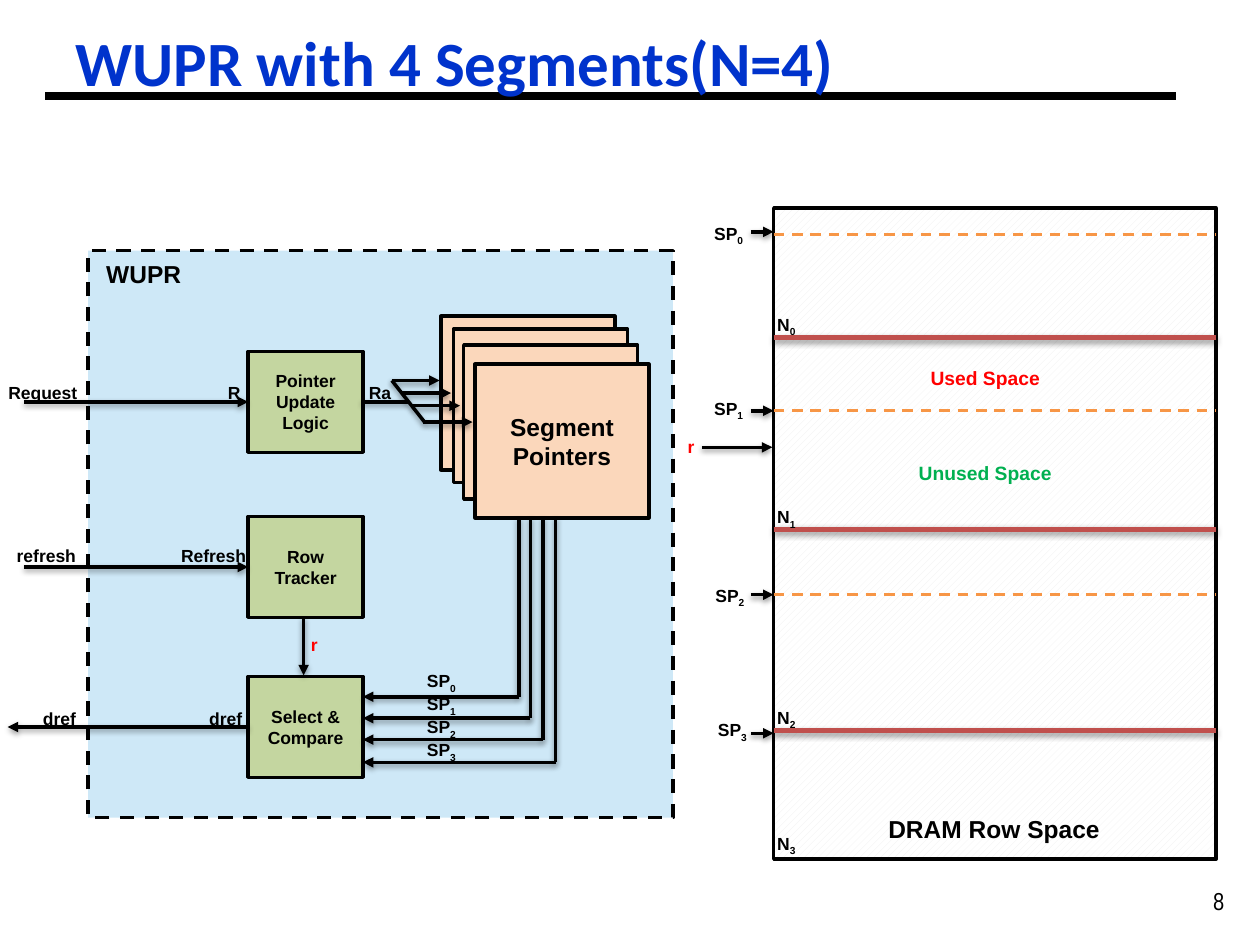
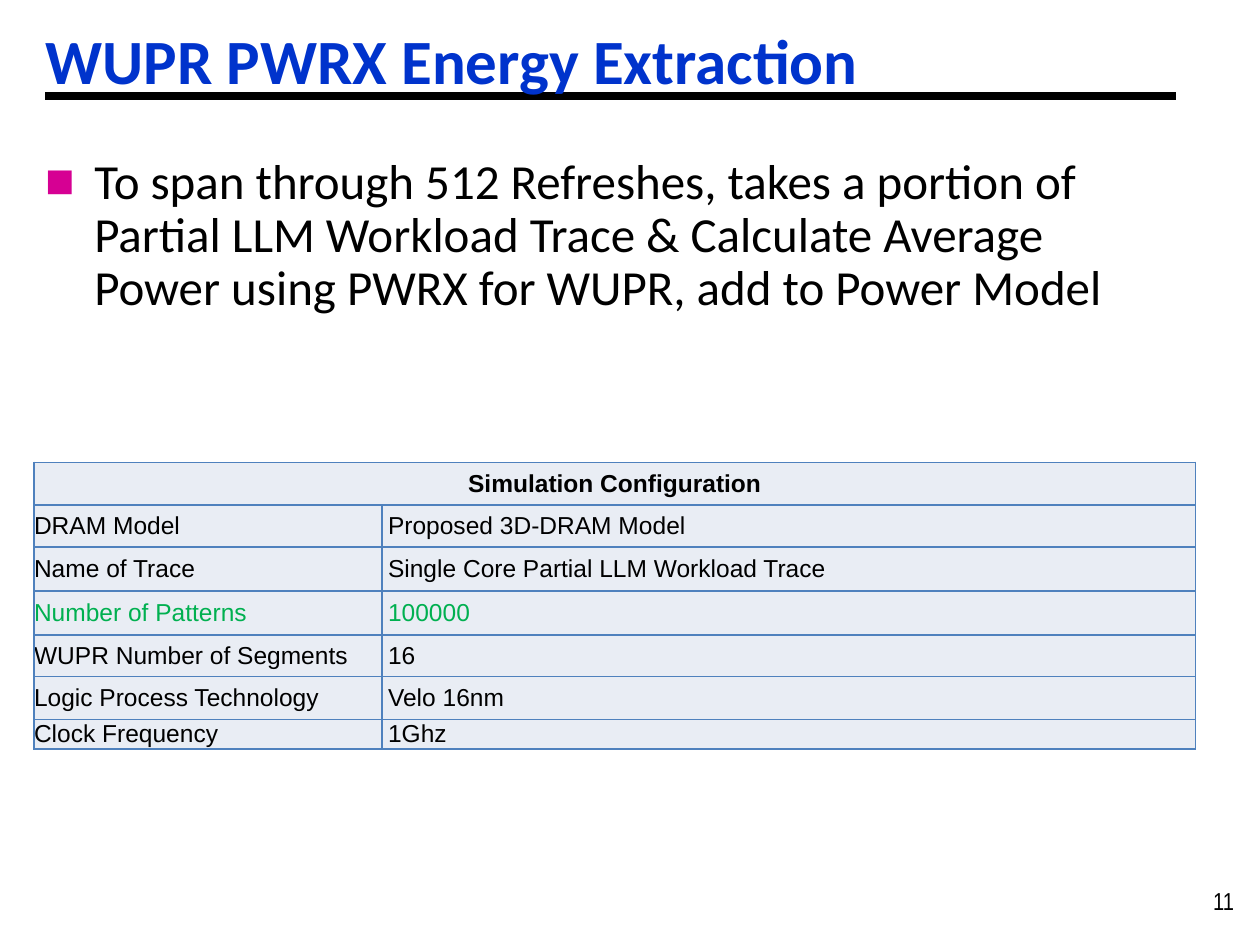
"""Build two slides: the WUPR block diagram and its energy extraction setup."""
from lxml.etree import SubElement
from pptx import Presentation
from pptx.dml.color import RGBColor
from pptx.enum.dml import MSO_LINE, MSO_PATTERN
from pptx.enum.shapes import MSO_CONNECTOR, MSO_SHAPE
from pptx.enum.text import MSO_ANCHOR, MSO_AUTO_SIZE, PP_ALIGN
from pptx.oxml import parse_xml
from pptx.oxml.ns import nsdecls, qn
from pptx.util import Inches, Pt

BLACK = RGBColor(0x00, 0x00, 0x00)
WHITE = RGBColor(0xFF, 0xFF, 0xFF)
TITLE_BLUE = RGBColor(0x00, 0x33, 0xCC)
PANEL_BLUE = RGBColor(0xCE, 0xE8, 0xF7)
PEACH = RGBColor(0xFB, 0xD7, 0xBB)
LEAF = RGBColor(0xC4, 0xD6, 0xA0)
HATCH = RGBColor(0xF0, 0xF0, 0xF0)
BRICK = RGBColor(0xC0, 0x50, 0x4D)
ORANGE = RGBColor(0xF7, 0x96, 0x46)
RED = RGBColor(0xFF, 0x00, 0x00)
GREEN = RGBColor(0x00, 0xB0, 0x50)
BULLET_PINK = RGBColor(0xD6, 0x00, 0x93)
CELL_FILL = RGBColor(0xE9, 0xED, 0xF4)
CELL_BORDER = RGBColor(0x4F, 0x81, 0xBD)
LEFT, CENTER, RIGHT = PP_ALIGN.LEFT, PP_ALIGN.CENTER, PP_ALIGN.RIGHT


def add_line(shapes, start, end, color=BLACK, width=2, arrow=False, dashed=False, shadow=True):
    """Draw a straight connector."""
    line = shapes.add_connector(MSO_CONNECTOR.STRAIGHT, *map(Inches, start + end))
    line.line.color.rgb = color
    line.line.width = Pt(width)
    if dashed:
        line.line.dash_style = MSO_LINE.DASH
    if arrow:
        SubElement(line.line._get_or_add_ln(), qn("a:tailEnd"), type="triangle")
    effects = SubElement(line._element.spPr, qn("a:effectLst"))
    if shadow:
        effects.append(parse_xml(
            f'<a:outerShdw {nsdecls("a")} blurRad="40000" dist="20000" dir="5400000" rotWithShape="0">'
            '<a:srgbClr val="000000"><a:alpha val="38000"/></a:srgbClr></a:outerShdw>'))
    return line


def add_label(shapes, box, text, subscript="", size=10, color=BLACK, align=LEFT):
    """Add a bold text box, with an optional subscript."""
    label = shapes.add_textbox(*map(Inches, box))
    label.text_frame.word_wrap = True
    paragraph = label.text_frame.paragraphs[0]
    paragraph.alignment = align
    paragraph.font.name = "Arial"
    paragraph.font.size = Pt(size)
    paragraph.font.bold = True
    paragraph.font.color.rgb = color
    paragraph.add_run().text = text
    if subscript:
        run = paragraph.add_run()
        run.text = subscript
        run._r.get_or_add_rPr().set("baseline", "-25000")
    return label


presentation = Presentation()
presentation.slide_width = Inches(10)
presentation.slide_height = Inches(7.5)

slides = []
for title_text, number, title_box in [
    ("WUPR with 4 Segments(N=4)", "8", (0.6, 0.13, 8.42, 0.71)),
    ("WUPR PWRX Energy Extraction", "11", (0.36, 0.11, 9.64, 0.71)),
]:
    slide = presentation.slides.add_slide(presentation.slide_layouts[5])
    slides.append(slide)
    title = slide.shapes.title
    title.left, title.top, title.width, title.height = map(Inches, title_box)
    title.text = title_text
    frame = title.text_frame
    frame.auto_size = MSO_AUTO_SIZE.NONE
    frame.vertical_anchor = MSO_ANCHOR.BOTTOM
    frame.margin_left = 0
    paragraph = frame.paragraphs[0]
    paragraph.alignment = LEFT
    paragraph.font.name = "Calibri"
    paragraph.font.size = Pt(36)
    paragraph.font.bold = True
    paragraph.font.color.rgb = TITLE_BLUE
    rule = add_line(slide.shapes, (0.36, 0.76), (9.33, 0.76), width=4.5, shadow=False)
    title._element.addprevious(rule._element)
    page_number = add_label(slide.shapes, (9.53, 6.98, 0.47, 0.33), number, size=14)
    paragraph = page_number.text_frame.paragraphs[0]
    paragraph.font.name = "Arial Narrow"
    paragraph.font.bold = False

diagram_slide, setup_slide = slides

wupr = diagram_slide.shapes.add_group_shape().shapes
for left, top, width, height, fill, text, size in [
    (0.7, 1.99, 4.64, 4.5, PANEL_BLUE, "", 10),
    (3.5, 2.51, 1.38, 1.22, PEACH, "", 14),
    (3.6, 2.61, 1.38, 1.22, PEACH, "", 14),
    (3.68, 2.74, 1.38, 1.22, PEACH, "", 14),
    (3.77, 2.89, 1.38, 1.22, PEACH, "Segment Pointers", 14),
    (1.97, 2.79, 0.91, 0.8, LEAF, "Pointer Update Logic", 10),
    (1.97, 4.1, 0.91, 0.8, LEAF, "Row Tracker", 10),
    (1.97, 5.37, 0.91, 0.8, LEAF, "Select & Compare", 10),
]:
    block = wupr.add_shape(MSO_SHAPE.RECTANGLE, *map(Inches, (left, top, width, height)))
    block.shadow.inherit = False
    block.fill.solid()
    block.fill.fore_color.rgb = fill
    block.line.color.rgb = BLACK
    block.line.width = Pt(2)
    if fill == PANEL_BLUE:
        block.line.dash_style = MSO_LINE.DASH
    if text:
        block.text_frame.text = text
        block.text_frame.vertical_anchor = MSO_ANCHOR.MIDDLE
        paragraph = block.text_frame.paragraphs[0]
        paragraph.alignment = CENTER
        paragraph.font.name = "Arial"
        paragraph.font.size = Pt(size)
        paragraph.font.bold = True
        paragraph.font.color.rgb = BLACK

for start, end in [
    ((0.19, 3.19), (1.97, 3.19)),
    ((0.19, 4.5), (1.97, 4.5)),
    ((1.97, 5.77), (0.06, 5.77)),
    ((2.41, 4.9), (2.41, 5.36)),
    ((3.11, 3.02), (3.49, 3.02)),
    ((3.19, 3.12), (3.58, 3.12)),
    ((3.27, 3.22), (3.65, 3.22)),
    ((3.36, 3.35), (3.75, 3.35)),
]:
    add_line(wupr, start, end, arrow=True)
add_line(wupr, (3.11, 3.02), (3.37, 3.35))
add_line(wupr, (2.87, 3.19), (3.24, 3.19))

for index, (x, y) in enumerate([(4.12, 5.53), (4.21, 5.7), (4.31, 5.87), (4.41, 6.05)]):
    add_line(wupr, (x, 4.1), (x, y))
    add_line(wupr, (x, y), (2.88, y), arrow=True)
    add_label(wupr, (3.29, 5.27 + 0.183 * index, 0.47, 0.23), "SP", str(index))

for box, text, align in [
    ((-0.1, 2.98, 0.81, 0.25), "Request", RIGHT),
    ((1.71, 2.98, 0.63, 0.23), "R", LEFT),
    ((2.83, 2.98, 0.63, 0.23), "Ra", LEFT),
    ((-0.04, 4.28, 0.74, 0.25), "refresh", RIGHT),
    ((1.09, 4.28, 0.96, 0.27), "Refresh", RIGHT),
    ((-0.32, 5.57, 1.02, 0.23), "dref", RIGHT),
    ((1.55, 5.57, 0.47, 0.23), "dref", RIGHT),
]:
    add_label(wupr, box, text, align=align)
add_label(wupr, (2.37, 4.98, 0.23, 0.23), "r", color=RED)
add_label(wupr, (0.57, 2.01, 1.14, 0.34), "WUPR", size=14, align=CENTER)

dram = diagram_slide.shapes.add_group_shape().shapes
row_space = dram.add_shape(MSO_SHAPE.RECTANGLE, *map(Inches, (6.14, 1.65, 3.51, 5.17)))
row_space.shadow.inherit = False
row_space.fill.patterned()
row_space.fill.pattern = MSO_PATTERN.WIDE_UPWARD_DIAGONAL
row_space.fill.fore_color.rgb = HATCH
row_space.fill.back_color.rgb = WHITE
row_space.line.color.rgb = BLACK
row_space.line.width = Pt(2)

for y in (2.68, 4.2, 5.8):
    add_line(dram, (6.14, y), (9.65, y), color=BRICK, width=3)
for index, top in enumerate([2.44, 3.97, 5.56, 6.56]):
    add_label(dram, (6.07, top, 0.37, 0.27), "N", str(index))
for index, (left, top, y) in enumerate(
        [(5.57, 1.72, 1.84), (5.57, 3.11, 3.26), (5.58, 4.59, 4.72), (5.6, 5.66, 5.82)]):
    add_line(dram, (5.96, y), (6.14, y), arrow=True)
    add_label(dram, (left, top, 0.5, 0.27), "SP", str(index))
for y in (1.86, 3.26, 4.72):
    add_line(dram, (6.14, y), (9.65, y), color=ORANGE, width=1.5, dashed=True, shadow=False)
add_line(dram, (5.57, 3.55), (6.13, 3.55), arrow=True)
add_label(dram, (5.36, 3.41, 0.27, 0.27), "r", color=RED)
add_label(dram, (6.65, 2.86, 2.34, 0.29), "Used Space", size=11, color=RED, align=CENTER)
add_label(dram, (6.65, 3.61, 2.34, 0.29), "Unused Space", size=11, color=GREEN, align=CENTER)
add_label(dram, (6.72, 6.41, 2.34, 0.4), "DRAM Row Space", size=14, align=CENTER)

configuration = [
    ("Simulation Configuration", ""),
    ("DRAM Model", "Proposed 3D-DRAM Model"),
    ("Name of Trace", "Single Core Partial LLM Workload Trace"),
    ("Number of Patterns", "100000"),
    ("WUPR Number of Segments", "16"),
    ("Logic Process Technology", "Velo 16nm"),
    ("Clock Frequency", "1Ghz"),
]
table = setup_slide.shapes.add_table(
    len(configuration), 2, *map(Inches, (0.27, 3.67, 9.22, 2.22))).table
table.first_row = False
table.horz_banding = False
for column, width in zip(table.columns, (2.76, 6.46)):
    column.width = Inches(width)
for row, height in zip(table.rows, (0.34, 0.33, 0.35, 0.35, 0.33, 0.34, 0.18)):
    row.height = Inches(height)
table.cell(0, 0).merge(table.cell(0, 1))
for row_index, row_texts in enumerate(configuration):
    for column_index, text in enumerate(row_texts):
        cell = table.cell(row_index, column_index)
        cell.margin_top = cell.margin_bottom = cell.margin_right = 0
        cell.margin_left = Inches(0.05 * column_index)
        cell.vertical_anchor = MSO_ANCHOR.MIDDLE
        for side in ("lnL", "lnR", "lnT", "lnB"):
            cell._tc.get_or_add_tcPr().append(parse_xml(
                f'<a:{side} {nsdecls("a")} w="12700"><a:solidFill>'
                f'<a:srgbClr val="{CELL_BORDER}"/></a:solidFill></a:{side}>'))
        cell.fill.solid()
        cell.fill.fore_color.rgb = CELL_FILL
        if text:
            cell.text = text
        paragraph = cell.text_frame.paragraphs[0]
        paragraph.alignment = CENTER if row_index == 0 else LEFT
        paragraph.font.name = "Arial"
        paragraph.font.size = Pt(14)
        paragraph.font.bold = row_index == 0
        paragraph.font.color.rgb = GREEN if row_texts[0] == "Number of Patterns" else BLACK

body = setup_slide.shapes.add_textbox(*map(Inches, (0.26, 1.2, 8.94, 1.33)))
body.text_frame.word_wrap = True
body.text_frame.text = (
    "To span through 512 Refreshes, takes a portion of Partial LLM Workload Trace & "
    "Calculate Average Power using PWRX for WUPR, add to Power Model")
paragraph = body.text_frame.paragraphs[0]
paragraph.line_spacing = 0.9
properties = paragraph._p.get_or_add_pPr()
properties.set("marL", str(Inches(0.39)))
properties.set("indent", str(-Inches(0.39)))
bullet_color = SubElement(properties, qn("a:buClr"))
SubElement(bullet_color, qn("a:srgbClr"), val=str(BULLET_PINK))
SubElement(properties, qn("a:buFont"), typeface="Arial")
SubElement(properties, qn("a:buChar"), char="■")
paragraph.font.name = "Calibri"
paragraph.font.size = Pt(28)
paragraph.font.color.rgb = BLACK

presentation.save("out.pptx")
